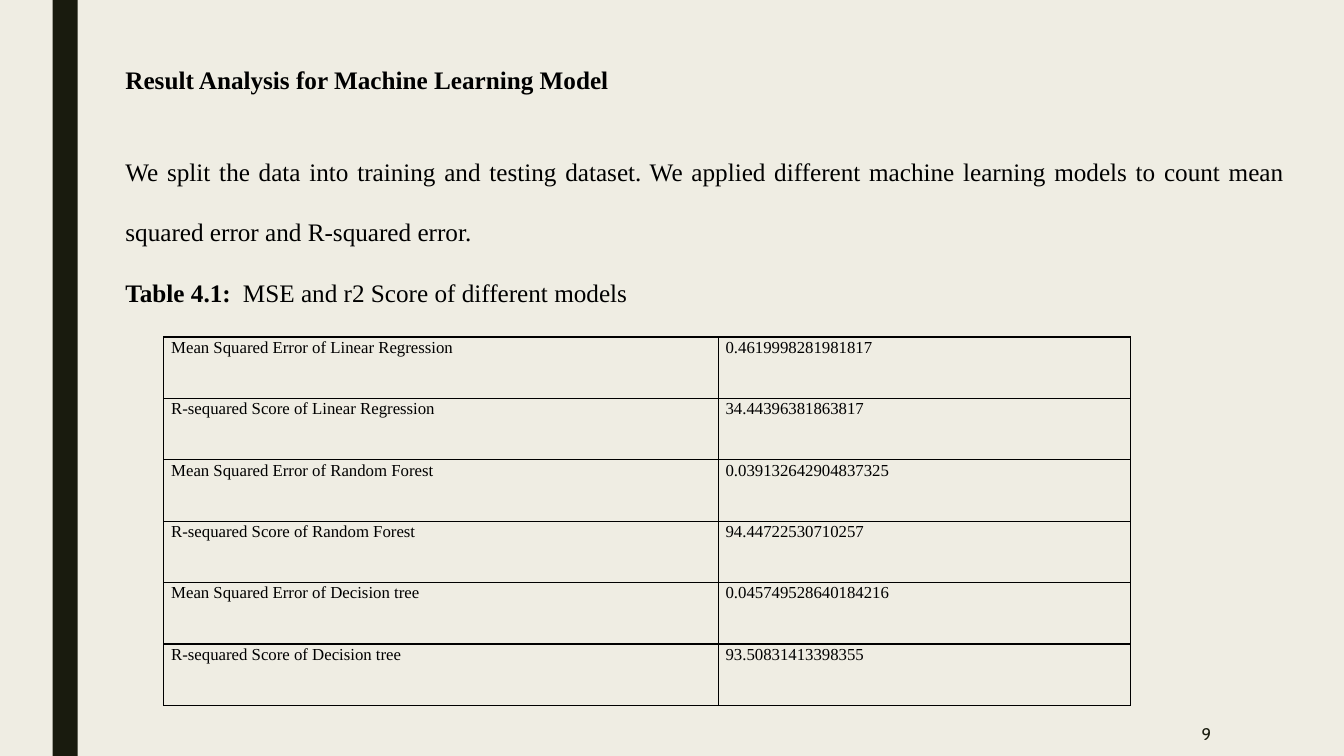
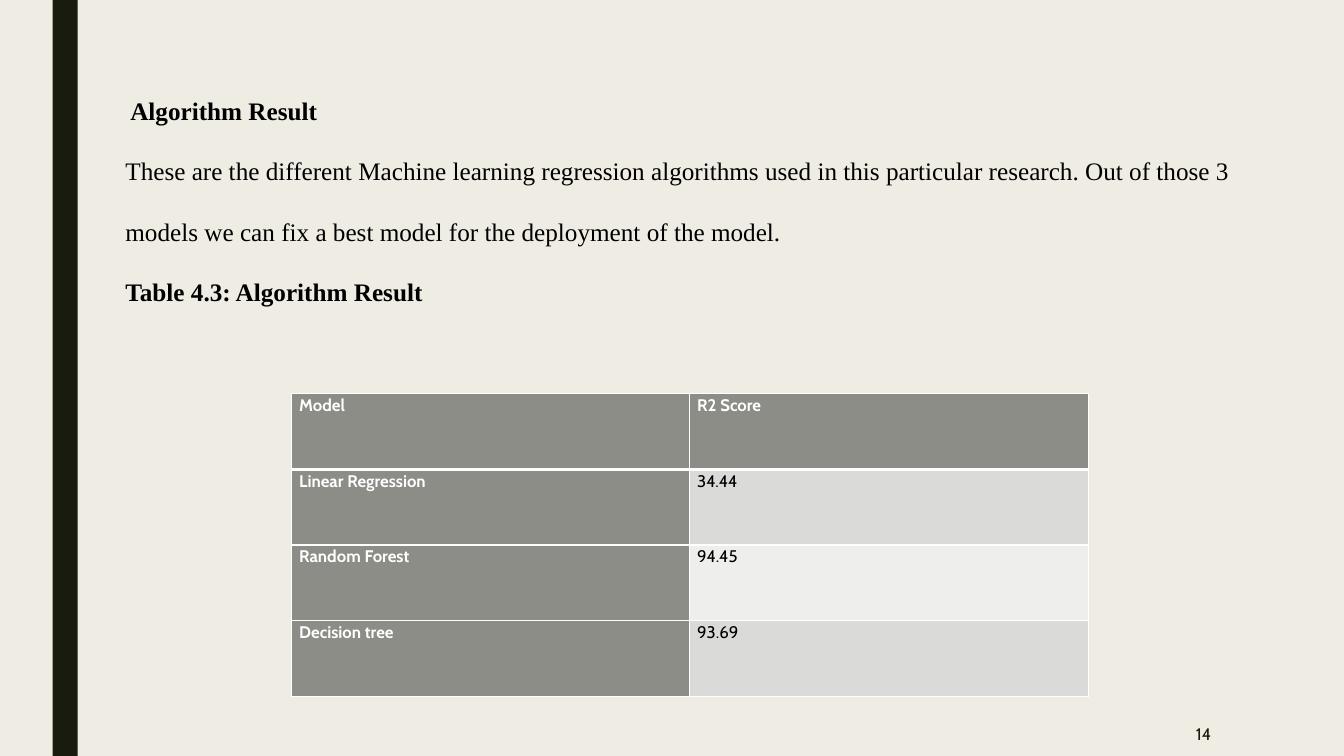
from dataclasses import dataclass
from typing import Any

from lxml import etree
from pptx import Presentation
from pptx.dml.color import RGBColor
from pptx.enum.shapes import MSO_SHAPE
from pptx.enum.text import MSO_ANCHOR, MSO_AUTO_SIZE, PP_ALIGN
from pptx.oxml.ns import qn
from pptx.util import Pt

EMU_PER_PX = 9525
SLIDE_WIDTH, SLIDE_HEIGHT = 1280, 720
BLANK_LAYOUT = 6

CREAM = RGBColor(0xEF, 0xED, 0xE3)
DARK_OLIVE = RGBColor(0x19, 0x1B, 0x0E)
BLACK = RGBColor(0x00, 0x00, 0x00)
WHITE = RGBColor(0xFF, 0xFF, 0xFF)
GRAY = RGBColor(0x8C, 0x8D, 0x86)
LIGHT_GRAY = RGBColor(0xDA, 0xDB, 0xD9)
PALE_GRAY = RGBColor(0xEE, 0xEE, 0xED)

SERIF, SANS = "Times New Roman", "Cabin"
RECTANGLE = MSO_SHAPE.RECTANGLE
LEFT, RIGHT, JUSTIFY = PP_ALIGN.LEFT, PP_ALIGN.RIGHT, PP_ALIGN.JUSTIFY
MIDDLE = MSO_ANCHOR.MIDDLE
GROW = MSO_AUTO_SIZE.SHAPE_TO_FIT_TEXT

BODY_FONT = {"name": SERIF, "size": Pt(18)}
SMALL_SERIF = {"name": SERIF, "size": Pt(12), "bold": False}
SMALL_SANS = {"name": SANS, "size": Pt(12), "bold": False}
CELL_PARAGRAPH = {"alignment": JUSTIFY, "line_spacing": 1.07, "space_after": Pt(8)}
CELL_MARGINS = {"margin_left": 7 * EMU_PER_PX, "margin_right": 7 * EMU_PER_PX,
                "margin_top": 0, "margin_bottom": 0}
PLAIN_TABLE = {"first_row": False, "horz_banding": False}


@dataclass(frozen=True)
class Box:
    left: int
    top: int
    width: int
    height: int

    def emu(self) -> tuple[int, ...]:
        return tuple(px(value) for value in (self.left, self.top, self.width, self.height))


@dataclass(frozen=True)
class TextRun:
    text: str
    bold: bool = False


@dataclass(frozen=True)
class BodyParagraph:
    runs: tuple[TextRun, ...]
    alignment: Any
    line_spacing: float = 2.0
    space_before: int = 0
    tab_stop: int = 0


@dataclass(frozen=True)
class CellStyle:
    font: dict[str, Any]
    color: RGBColor
    border: RGBColor
    fill: RGBColor | None = None
    top_border: int = 1
    bottom_border: int = 1


BAR = Box(50, 0, 24, SLIDE_HEIGHT)
PAGE_NUMBER = Box(995, 678, 168, 42)
ERROR_TEXT = Box(110, 57, 1123, 302)
ERROR_TABLE = Box(156, 321, 921, 351)
SCORE_TEXT = Box(110, 57, 1123, 233)
SCORE_TABLE = Box(278, 375, 759, 288)

ERROR_PARAGRAPHS = (
    BodyParagraph((TextRun("Result Analysis for Machine Learning Model", True),), JUSTIFY, 1.0),
    BodyParagraph((TextRun("We split the data into training and testing dataset. We applied "
                           "different machine learning models to count mean squared error "
                           "and R-squared error."),), JUSTIFY, space_before=22),
    BodyParagraph((TextRun("Table 4.1:\t", True),
                   TextRun("MSE and r2 Score of different models")), JUSTIFY, tab_stop=112),
)
SCORE_PARAGRAPHS = (
    BodyParagraph((TextRun(" Algorithm Result", True),), LEFT),
    BodyParagraph((TextRun("These are the different Machine learning regression algorithms "
                           "used in this particular research. Out of those 3 models we can "
                           "fix a best model for the deployment of the model."),), LEFT),
    BodyParagraph((TextRun("Table 4.3: Algorithm Result", True),), LEFT),
)
ERROR_ROWS = (
    ("Mean Squared Error of Linear Regression", "0.4619998281981817"),
    ("R-sequared Score of Linear Regression", "34.44396381863817"),
    ("Mean Squared Error of Random Forest", "0.039132642904837325"),
    ("R-sequared Score of Random Forest", "94.44722530710257"),
    ("Mean Squared Error of Decision tree", "0.045749528640184216"),
    ("R-sequared Score of Decision tree", "93.50831413398355"),
)
SCORE_ROWS = (
    ("Model", "R2 Score"),
    ("Linear Regression", "34.44"),
    ("Random Forest", "94.45"),
    ("Decision tree", "93.69"),
)


def px(value: float) -> int:
    return round(value * EMU_PER_PX)


def apply_format(target: Any, values: dict[str, Any]) -> None:
    for name, value in values.items():
        setattr(target, name, value)


def add_run(paragraph: Any, text: str, font: dict[str, Any], color: RGBColor) -> None:
    run = paragraph.add_run()
    run.text = text
    apply_format(run.font, font)
    run.font.color.rgb = color


def add_tab_stop(paragraph: Any, position: int) -> None:
    tabs = etree.SubElement(paragraph._p.get_or_add_pPr(), qn("a:tabLst"))
    etree.SubElement(tabs, qn("a:tab"), pos=str(px(position)), algn="l")


def add_slide(presentation: Any, number: int) -> Any:
    """Add a blank slide with the side bar and page number."""
    slide = presentation.slides.add_slide(presentation.slide_layouts[BLANK_LAYOUT])
    bar = slide.shapes.add_shape(RECTANGLE, *BAR.emu())
    bar.shadow.inherit = False
    bar.fill.solid()
    bar.fill.fore_color.rgb = DARK_OLIVE
    bar.line.fill.background()
    frame = slide.shapes.add_textbox(*PAGE_NUMBER.emu()).text_frame
    apply_format(frame, {"word_wrap": True, "vertical_anchor": MIDDLE})
    paragraph = frame.paragraphs[0]
    paragraph.alignment = RIGHT
    add_run(paragraph, str(number), SMALL_SANS, DARK_OLIVE)
    return slide


def add_body(slide: Any, box: Box, contents: tuple[BodyParagraph, ...]) -> None:
    frame = slide.shapes.add_textbox(*box.emu()).text_frame
    apply_format(frame, {"word_wrap": True, "auto_size": GROW})
    for index, content in enumerate(contents):
        paragraph = frame.add_paragraph() if index else frame.paragraphs[0]
        apply_format(paragraph, {"alignment": content.alignment,
                                 "line_spacing": content.line_spacing})
        if content.space_before:
            paragraph.space_before = Pt(content.space_before)
        if content.tab_stop:
            add_tab_stop(paragraph, content.tab_stop)
        for run in content.runs:
            add_run(paragraph, run.text, BODY_FONT | {"bold": run.bold}, BLACK)


def set_borders(cell: Any, style: CellStyle) -> None:
    properties = cell._tc.get_or_add_tcPr()
    widths = {"L": 1, "R": 1, "T": style.top_border, "B": style.bottom_border}
    for side, width in widths.items():
        line = etree.SubElement(properties, qn(f"a:ln{side}"), w=str(Pt(width)))
        fill = etree.SubElement(line, qn("a:solidFill"))
        etree.SubElement(fill, qn("a:srgbClr"), val=str(style.border))


def fill_cell(cell: Any, text: str, style: CellStyle) -> None:
    apply_format(cell, CELL_MARGINS)
    set_borders(cell, style)
    if style.fill is None:
        cell.fill.background()
    else:
        cell.fill.solid()
        cell.fill.fore_color.rgb = style.fill
    paragraph = cell.text_frame.paragraphs[0]
    apply_format(paragraph, CELL_PARAGRAPH)
    add_run(paragraph, text, style.font, style.color)


def error_style(row: int, column: int) -> CellStyle:
    return CellStyle(SMALL_SERIF, BLACK, BLACK)


def score_style(row: int, column: int) -> CellStyle:
    """Gray header row and first column, with banded values."""
    top_border = 3 if row == 1 else 1
    if row == 0 or column == 0:
        return CellStyle(SMALL_SANS | {"bold": True}, WHITE, WHITE, GRAY,
                         top_border, 3 if row == 0 else 1)
    band = LIGHT_GRAY if row % 2 else PALE_GRAY
    return CellStyle(SMALL_SANS, BLACK, WHITE, band, top_border)


def add_table(slide: Any, box: Box, rows: tuple[tuple[str, str], ...],
              first_width: int, style_for: Any) -> None:
    table = slide.shapes.add_table(len(rows), 2, *box.emu()).table
    apply_format(table, PLAIN_TABLE)
    for column, width in zip(table.columns, (first_width, box.width - first_width)):
        column.width = px(width)
    for row_index, texts in enumerate(rows):
        table.rows[row_index].height = px(box.height / len(rows))
        for column_index, text in enumerate(texts):
            fill_cell(table.cell(row_index, column_index), text,
                      style_for(row_index, column_index))


def main() -> None:
    presentation = Presentation()
    apply_format(presentation, {"slide_width": px(SLIDE_WIDTH),
                                "slide_height": px(SLIDE_HEIGHT)})
    background = presentation.slide_master.background.fill
    background.solid()
    background.fore_color.rgb = CREAM

    error_slide = add_slide(presentation, 9)
    add_body(error_slide, ERROR_TEXT, ERROR_PARAGRAPHS)
    add_table(error_slide, ERROR_TABLE, ERROR_ROWS, 528, error_style)

    score_slide = add_slide(presentation, 14)
    add_body(score_slide, SCORE_TEXT, SCORE_PARAGRAPHS)
    add_table(score_slide, SCORE_TABLE, SCORE_ROWS, 379, score_style)
    presentation.save("out.pptx")


if __name__ == "__main__":
    main()
